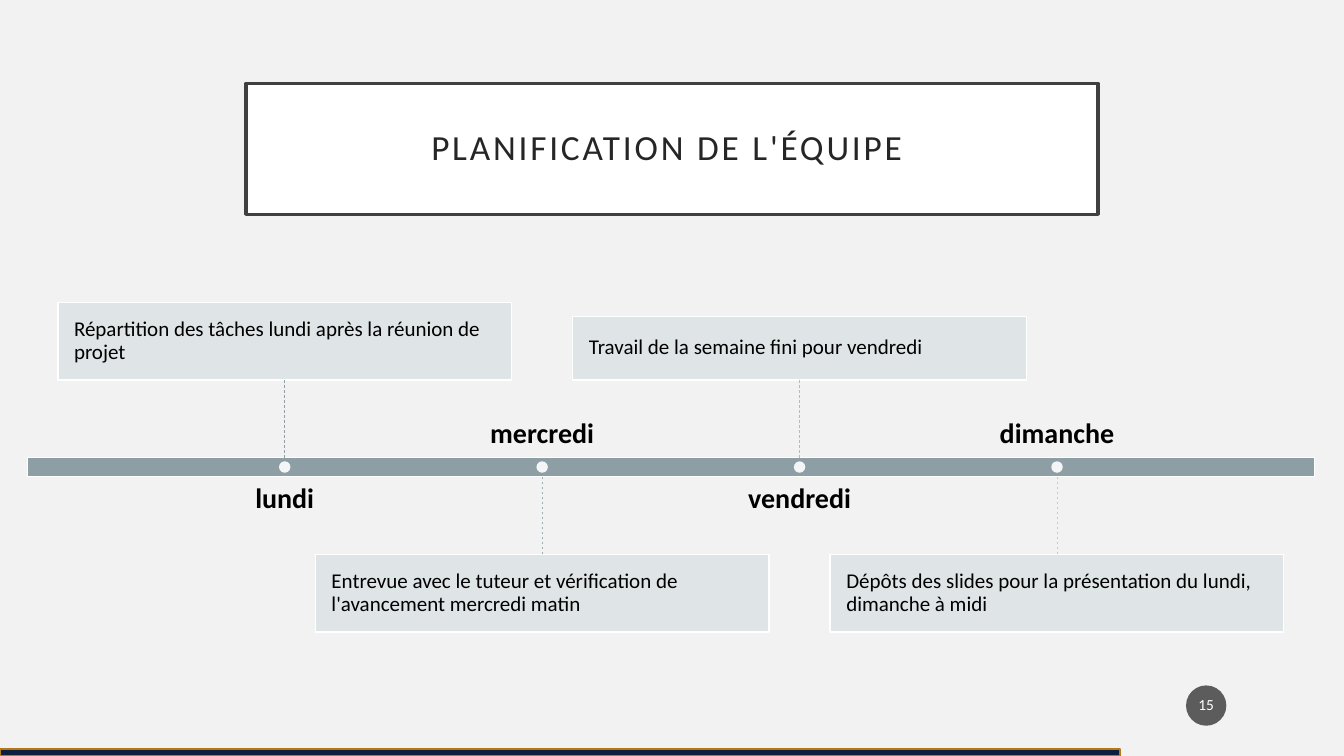
from dataclasses import dataclass

from lxml.etree import SubElement
from pptx import Presentation
from pptx.dml.color import RGBColor
from pptx.enum.dml import MSO_LINE
from pptx.enum.shapes import MSO_CONNECTOR, MSO_SHAPE
from pptx.enum.text import MSO_ANCHOR, PP_ALIGN
from pptx.oxml.ns import qn
from pptx.shapes.autoshape import Shape
from pptx.slide import Slide
from pptx.util import Pt

BAR_LEFT, BAR_TOP, BAR_WIDTH, BAR_HEIGHT = 19.5, 327, 919.4, 13.2
BOX_WIDTH = 324
UPPER_BOX_BOTTOM, LOWER_BOX_TOP = 271.4, 396
LABEL_WIDTH, LABEL_HEIGHT = 294.5, 36.7
UPPER_LABEL_TOP, LOWER_LABEL_TOP = 284.4, 345.6
DOT_SIZE = 8.2


@dataclass(frozen=True)
class Area:
    left: float
    top: float
    width: float
    height: float


@dataclass(frozen=True)
class Milestone:
    day: str
    task: str
    box_height: float
    line_color: str
    box_above: bool


MILESTONES = [
    Milestone("lundi", "Répartition des tâches lundi après la réunion de projet", 55.4, "8D9FA4", True),
    Milestone("mercredi", "Entrevue avec le tuteur et vérification de l'avancement mercredi matin",
              55.4, "9EAEB3", False),
    Milestone("vendredi", "Travail de la semaine fini pour vendredi", 45.4, "AFBDC1", True),
    Milestone("dimanche", "Dépôts des slides pour la présentation du lundi, dimanche à midi",
              55.4, "C1CCCF", False),
]


def color(value: str) -> RGBColor:
    return RGBColor.from_string(value)


def add_box(slide: Slide, kind: MSO_SHAPE, area: Area, fill: str, opacity: int = 100,
            line: str = "", line_width: float = 1) -> Shape:
    shape = slide.shapes.add_shape(kind, Pt(area.left), Pt(area.top), Pt(area.width), Pt(area.height))
    shape.shadow.inherit = False
    shape.fill.solid()
    shape.fill.fore_color.rgb = color(fill)
    if opacity < 100:
        fill_color = shape._element.spPr.find(qn("a:solidFill")).find(qn("a:srgbClr"))
        SubElement(fill_color, qn("a:alpha")).set("val", str(opacity * 1000))
    if line:
        shape.line.color.rgb = color(line)
        shape.line.width = Pt(line_width)
    else:
        shape.line.fill.background()
    return shape


def write(shape: Shape, text: str, size: float, text_color: str = "000000",
          insets: tuple[float, float, float, float] = (0, 0, 0, 0),
          alignment: PP_ALIGN = PP_ALIGN.CENTER, anchor: MSO_ANCHOR = MSO_ANCHOR.MIDDLE,
          bold: bool = False, letter_spacing: float = 0) -> None:
    frame = shape.text_frame
    frame.text = text
    frame.word_wrap = True
    frame.vertical_anchor = anchor
    frame.margin_left, frame.margin_top, frame.margin_right, frame.margin_bottom = map(Pt, insets)
    paragraph = frame.paragraphs[0]
    paragraph.alignment = alignment
    paragraph.line_spacing = 0.9
    for run in paragraph.runs:
        run.font.name = "Calibri"
        run.font.size = Pt(size)
        run.font.bold = bold
        run.font.color.rgb = color(text_color)
        if letter_spacing:
            run._r.get_or_add_rPr().set("spc", str(round(letter_spacing * 100)))


def add_milestone(slide: Slide, milestone: Milestone, center: float) -> None:
    above = milestone.box_above
    box_top = UPPER_BOX_BOTTOM - milestone.box_height if above else LOWER_BOX_TOP
    box = add_box(slide, MSO_SHAPE.RECTANGLE,
                  Area(center - BOX_WIDTH / 2, box_top, BOX_WIDTH, milestone.box_height),
                  "DEE3E5", 90, "FFFFFF")
    write(box, milestone.task, 15, insets=(11.5, 11.5, 11.5, 11.5), alignment=PP_ALIGN.LEFT)

    bar_edge = BAR_TOP if above else BAR_TOP + BAR_HEIGHT
    box_edge = UPPER_BOX_BOTTOM if above else LOWER_BOX_TOP
    connector = slide.shapes.add_connector(MSO_CONNECTOR.STRAIGHT, Pt(center), Pt(box_edge),
                                           Pt(center), Pt(bar_edge))
    connector.begin_connect(box, 2 if above else 0)
    connector.line.color.rgb = color(milestone.line_color)
    connector.line.width = Pt(0.5)
    connector.line.dash_style = MSO_LINE.DASH
    SubElement(connector._element.spPr, qn("a:effectLst"))

    label_top = LOWER_LABEL_TOP if above else UPPER_LABEL_TOP
    label = slide.shapes.add_textbox(Pt(center - LABEL_WIDTH / 2), Pt(label_top),
                                     Pt(LABEL_WIDTH), Pt(LABEL_HEIGHT))
    write(label, milestone.day, 20, anchor=MSO_ANCHOR.TOP if above else MSO_ANCHOR.BOTTOM, bold=True)

    dot_top = BAR_TOP + (BAR_HEIGHT - DOT_SIZE) / 2
    add_box(slide, MSO_SHAPE.OVAL, Area(center - DOT_SIZE / 2, dot_top, DOT_SIZE, DOT_SIZE), "FFFFFF", 90)


def main() -> None:
    presentation = Presentation()
    presentation.slide_width, presentation.slide_height = Pt(960), Pt(540)
    slide = presentation.slides.add_slide(presentation.slide_layouts[6])
    slide.background.fill.solid()
    slide.background.fill.fore_color.rgb = color("F2F2F2")

    title = add_box(slide, MSO_SHAPE.RECTANGLE, Area(175.8, 59.5, 608.4, 93.6),
                    "FFFFFF", line="404040", line_width=2.5)
    write(title, "PLANIFICATION DE L'ÉQUIPE", 25.2, "262626",
          insets=(14.4, 14.4, 21.6, 14.4), letter_spacing=2)

    page_number = add_box(slide, MSO_SHAPE.OVAL, Area(847.2, 489.6, 28.8, 28.8), "1D1D1D", 70)
    write(page_number, "15", 11, "FFFFFF", insets=(1.4, 3.6, 1.4, 3.6))

    add_box(slide, MSO_SHAPE.RECTANGLE, Area(BAR_LEFT, BAR_TOP, BAR_WIDTH, BAR_HEIGHT),
            "8D9FA4", line="FFFFFF")
    step = BAR_WIDTH / (len(MILESTONES) + 1)
    for position, milestone in enumerate(MILESTONES, start=1):
        add_milestone(slide, milestone, BAR_LEFT + position * step)

    add_box(slide, MSO_SHAPE.RECTANGLE, Area(0, 535, 800, 5), "0B1F40", line="B67815")
    presentation.save("out.pptx")


if __name__ == "__main__":
    main()
